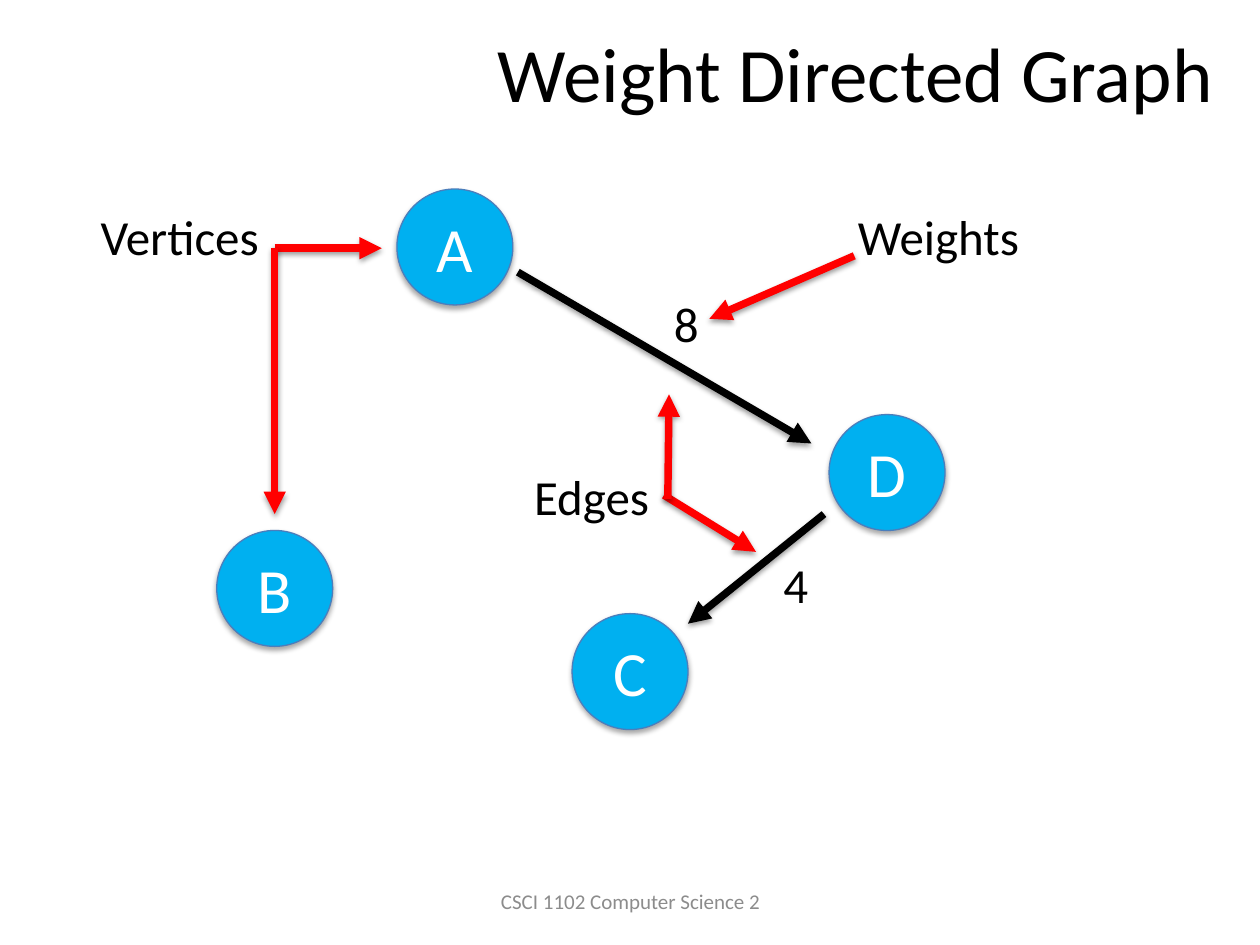
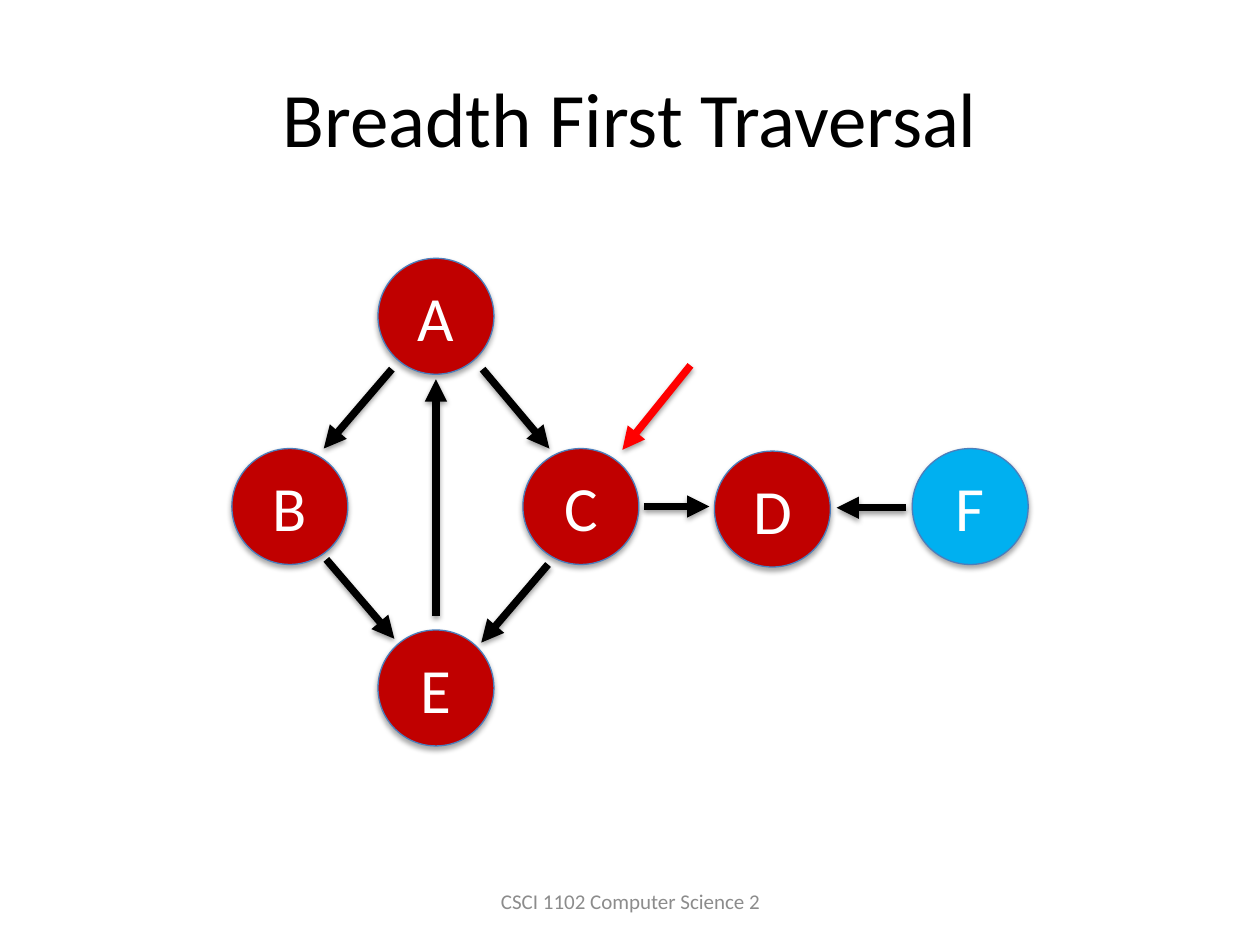
import pptx
import pptx.util
import pptx.dml.color
import pptx.enum.shapes
import pptx.enum.text
import pptx.oxml
import pptx.oxml.ns
import lxml.etree

Inches = pptx.util.Inches
Pt = pptx.util.Pt
Align = pptx.enum.text.PP_ALIGN
Anchor = pptx.enum.text.MSO_ANCHOR
Fit = pptx.enum.text.MSO_AUTO_SIZE
qn = pptx.oxml.ns.qn

FONT = "Calibri"
BLACK = "000000"
WHITE = "FFFFFF"
GREY = "8C8C8C"
RED = "FF0000"
BLUE = "00B0F0"
DARK = "C00000"
RIM = "4B7EBC"
SIDE = 0.92
FOOTER = "CSCI 1102 Computer Science 2"


def color(text):
    return pptx.dml.color.RGBColor.from_string(text)


def write(frame, text, size, tint, align, anchor):
    frame.text = text
    frame.vertical_anchor = anchor
    para = frame.paragraphs[0]
    para.alignment = align
    font = para.runs[0].font
    font.name = FONT
    font.size = Pt(size)
    font.color.rgb = color(tint)


def shade(props, alpha, drop):
    effects = props.find(qn("a:effectLst"))
    if effects is None:
        effects = lxml.etree.SubElement(props, qn("a:effectLst"))
    shadow = lxml.etree.SubElement(
        effects, qn("a:outerShdw"), blurRad=str(Pt(3.1)),
        dist=str(Pt(drop)), dir="5400000", rotWithShape="0")
    tint = lxml.etree.SubElement(shadow, qn("a:srgbClr"), val=BLACK)
    lxml.etree.SubElement(tint, qn("a:alpha"), val=str(alpha * 1000))


def add_node(slide, name, left, top, fill):
    node = slide.shapes.add_shape(
        pptx.enum.shapes.MSO_SHAPE.OVAL,
        Inches(left), Inches(top), Inches(SIDE), Inches(SIDE))
    node.fill.solid()
    node.fill.fore_color.rgb = color(fill)
    node.line.color.rgb = color(RIM)
    node.line.width = Pt(0.75)
    node.shadow.inherit = False
    shade(node.element.spPr, 35, 1.8)
    write(node.text_frame, name, 36, WHITE, Align.CENTER, Anchor.MIDDLE)


def add_arrow(slide, start, end, tint=BLACK):
    arrow = slide.shapes.add_connector(
        pptx.enum.shapes.MSO_CONNECTOR.STRAIGHT,
        *[Inches(value) for value in start + end])
    arrow.line.color.rgb = color(tint)
    arrow.line.width = Pt(4.25)
    props = arrow.element.spPr
    lxml.etree.SubElement(
        props.find(qn("a:ln")), qn("a:tailEnd"), type="triangle")
    shade(props, 38, 1.6)


def add_label(slide, text, left, top, width):
    box = slide.shapes.add_textbox(
        Inches(left), Inches(top), Inches(width), Inches(0.57))
    box.text_frame.word_wrap = False
    box.text_frame.auto_size = Fit.SHAPE_TO_FIT_TEXT
    write(box.text_frame, text, 28, BLACK, Align.LEFT, Anchor.TOP)


def add_footer(slide):
    box = slide.shapes.add_textbox(
        Inches(3.42), Inches(6.95), Inches(3.17), Inches(0.4))
    box.text_frame.word_wrap = True
    write(box.text_frame, FOOTER, 12, GREY, Align.CENTER, Anchor.MIDDLE)


def add_slide(deck, text, place, align, anchor):
    slide = deck.slides.add_slide(deck.slide_layouts[5])
    title = slide.shapes.title
    title.left, title.top, title.width, title.height = map(Inches, place)
    write(title.text_frame, text, 44, BLACK, align, anchor)
    title.text_frame.auto_size = Fit.NONE
    add_footer(slide)
    return slide


def draw_weights(deck):
    slide = add_slide(deck, "Weight Directed Graph",
                      (3.85, 0.15, 5.94, 0.84), Align.LEFT, Anchor.TOP)
    slide.shapes.title.text_frame.word_wrap = False
    for name, left, top in [("A", 3.15, 1.5), ("D", 6.58, 3.29),
                            ("B", 1.72, 4.21), ("C", 4.54, 4.87)]:
        add_node(slide, name, left, top, BLUE)
    for start, end in [((4.11, 2.16), (6.44, 3.52)),
                       ((6.54, 4.08), (5.46, 4.95))]:
        add_arrow(slide, start, end)
    for text, left, top, width in [("4", 6.12, 4.35, 0.4),
                                   ("8", 5.25, 2.28, 0.4),
                                   ("Vertices", 0.7, 1.59, 1.47),
                                   ("Edges", 4.14, 3.65, 1.12),
                                   ("Weights", 6.71, 1.59, 1.49)]:
        add_label(slide, text, left, top, width)
    for start, end in [((2.18, 1.97), (3.03, 1.97)),
                       ((2.18, 1.97), (2.18, 4.08)),
                       ((5.27, 3.93), (6, 4.38)),
                       ((5.3, 3.96), (5.31, 3.13)),
                       ((6.78, 2.03), (5.63, 2.53))]:
        add_arrow(slide, start, end, RED)


def draw_search(deck):
    slide = add_slide(deck, "Breadth First Traversal",
                      (0.5, 0.3, 9, 1.25), Align.CENTER, Anchor.MIDDLE)
    for name, left, top in [("A", 3, 2.05), ("D", 5.67, 3.58),
                            ("B", 1.84, 3.56), ("C", 4.15, 3.56),
                            ("E", 3, 5)]:
        add_node(slide, name, left, top, DARK)
    add_node(slide, "F", 7.24, 3.56, BLUE)
    for start, end in [((5.11, 4.02), (5.63, 4.02)),
                       ((7.19, 4.03), (6.64, 4.03)),
                       ((3.11, 2.93), (2.57, 3.56)),
                       ((3.83, 2.93), (4.36, 3.56)),
                       ((4.35, 4.48), (3.82, 5.1)),
                       ((2.59, 4.44), (3.13, 5.07)),
                       ((3.46, 4.89), (3.46, 3.01))]:
        add_arrow(slide, start, end)
    add_arrow(slide, (5.48, 2.9), (4.94, 3.57), RED)


def main():
    deck = pptx.Presentation()
    deck.slide_width = Inches(10)
    deck.slide_height = Inches(7.5)
    draw_weights(deck)
    draw_search(deck)
    deck.save("out.pptx")


if __name__ == "__main__":
    main()
